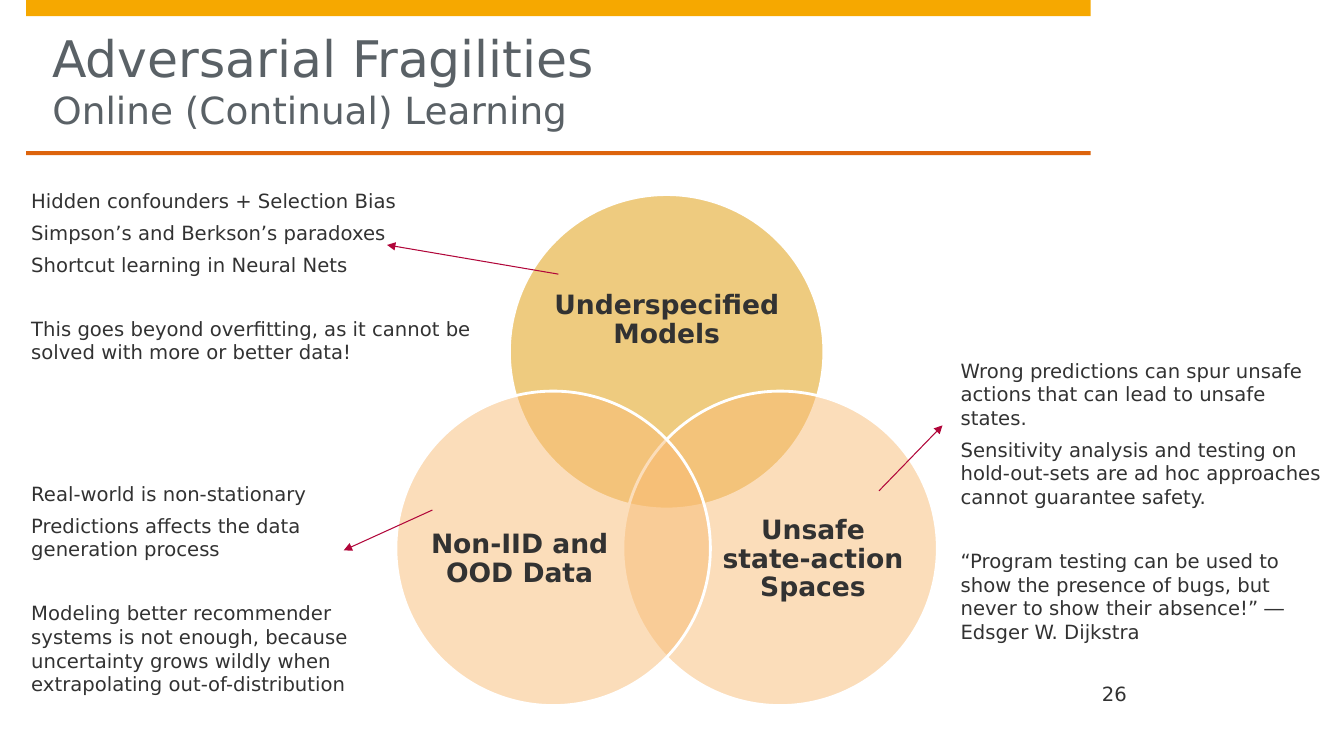
"""Build the slide on adversarial fragilities in online learning."""
import math

import lxml.etree
import pptx
import pptx.dml.color
import pptx.enum.shapes
import pptx.enum.text
import pptx.oxml.ns
import pptx.util

COLOURS = {
    "band": "F6A800", "rule": "DD640C", "title": "5A6166", "text": "323232",
    "gold": "DF9800", "peach": "F9BD76", "white": "FFFFFF", "arrow": "B1063A",
}
COLUMNS, ROWS = 40, 22.5
ALIGN = pptx.enum.text.PP_ALIGN
ANCHOR = pptx.enum.text.MSO_ANCHOR
SHAPE = pptx.enum.shapes.MSO_SHAPE


class Board:
    """Hold the style and the current slide, placed on a grid of columns and rows."""

    def __init__(self, deck, font="DejaVu Sans"):
        self.font = font
        self.column = deck.slide_width / COLUMNS
        self.row = deck.slide_height / ROWS
        self.slide = deck.slides.add_slide(deck.slide_layouts[5])

    def place(self, left, top, width, height):
        return (round(left * self.column), round(top * self.row),
                round(width * self.column), round(height * self.row))

    def colour(self, name):
        return pptx.dml.color.RGBColor.from_string(COLOURS[name])

    def child(self, parent, tag, **attributes):
        return lxml.etree.SubElement(parent, pptx.oxml.ns.qn(tag), **attributes)

    def frame(self, box, anchor, left=0, bottom=0):
        frame = box.text_frame
        frame.word_wrap = True
        frame.auto_size = pptx.enum.text.MSO_AUTO_SIZE.NONE
        frame.vertical_anchor = anchor
        frame.margin_left = pptx.util.Inches(left)
        frame.margin_bottom = pptx.util.Inches(bottom)
        frame.margin_top = frame.margin_right = 0
        return frame

    def span(self, para, text, size, colour="text", bold=False):
        span = para.add_run()
        span.text = text
        span.font.name = self.font
        span.font.size = pptx.util.Pt(size)
        span.font.bold = bold
        span.font.color.rgb = self.colour(colour)

    def title(self, area, heading, subheading):
        box = self.slide.shapes.title
        box.left, box.top, box.width, box.height = self.place(*area)
        para = self.frame(box, ANCHOR.BOTTOM, bottom=0.2).paragraphs[0]
        para.alignment = ALIGN.LEFT
        self.span(para, heading, 36, "title")
        para.add_line_break()
        self.span(para, subheading, 26.7, "title")

    def shape(self, kind, area, fill):
        shape = self.slide.shapes.add_shape(kind, *self.place(*area))
        shape.shadow.inherit = False
        shape.fill.solid()
        shape.fill.fore_color.rgb = self.colour(fill)
        shape.line.fill.background()
        return shape

    def circle(self, centre_x, centre_y, radius, fill):
        area = (centre_x - radius, centre_y - radius, 2 * radius, 2 * radius)
        circle = self.shape(SHAPE.OVAL, area, fill)
        circle.line.color.rgb = self.colour("white")
        circle.line.width = pptx.util.Pt(2)
        tint = circle.fill._xPr.find(".//" + pptx.oxml.ns.qn("a:srgbClr"))
        self.child(tint, "a:alpha", val="50000")

    def label(self, area, text):
        box = self.slide.shapes.add_textbox(*self.place(*area))
        para = self.frame(box, ANCHOR.MIDDLE).paragraphs[0]
        para.alignment = ALIGN.CENTER
        para.line_spacing = 0.9
        self.span(para, text, 19, bold=True)

    def note(self, area, points, remark):
        box = self.slide.shapes.add_textbox(*self.place(*area))
        frame = self.frame(box, ANCHOR.TOP)
        for index, text in enumerate([*points, remark]):
            para = frame.add_paragraph() if index else frame.paragraphs[0]
            para.space_before = pptx.util.Pt(26 if text == remark else 3)
            para.space_after = pptx.util.Pt(3)
            self.span(para, text, 14)

    def number(self, area, text):
        box = self.slide.shapes.add_textbox(*self.place(*area))
        para = self.frame(box, ANCHOR.BOTTOM, left=0.12).paragraphs[0]
        self.span(para, text, 14)

    def arrow(self, start_x, start_y, end_x, end_y):
        arrow = self.slide.shapes.add_connector(
            pptx.enum.shapes.MSO_CONNECTOR.STRAIGHT,
            *self.place(start_x, start_y, end_x, end_y))
        arrow.line.color.rgb = self.colour("arrow")
        arrow.line.width = pptx.util.Pt(0.75)
        self.child(arrow.line._get_or_add_ln(), "a:tailEnd", type="triangle")
        self.child(arrow._element.spPr, "a:effectLst")


def main():
    deck = pptx.Presentation()
    deck.slide_width = pptx.util.Inches(13.33)
    deck.slide_height = pptx.util.Inches(7.5)
    board = Board(deck)

    for top, height, fill in [(0, 0.48, "band"), (4.5, 0.12, "rule")]:
        board.shape(SHAPE.RECTANGLE, (0.78, top, 31.68, height), fill)
    board.title((1.56, 0.48, 30.09, 4.05),
                "Adversarial Fragilities", "Online (Continual) Learning")

    venn_x, venn_y, spread, radius = 19.84, 14.37, 3.9, 4.68
    sets = [
        ("Underspecified Models", "gold", (16.41, 7.44, 6.87, 4.2)),
        ("Unsafe state-action Spaces", "peach", (21.39, 14.07, 5.61, 5.16)),
        ("Non-IID and OOD Data", "peach", (12.66, 14.07, 5.61, 5.16)),
    ]
    for index, (text, fill, area) in enumerate(sets):
        angle = math.radians(120 * index - 90)
        board.circle(venn_x + spread * math.cos(angle),
                     venn_y + spread * math.sin(angle), radius, fill)
        board.label(area, text)

    board.number((32.43, 20.22, 6.78, 0.78), "26")

    notes = [
        ((0.93, 5.61, 13.2, 5.64),
         ["Hidden confounders + Selection Bias",
          "Simpson’s and Berkson’s paradoxes",
          "Shortcut learning in Neural Nets"],
         "This goes beyond overfitting, as it cannot be solved with more or "
         "better data!"),
        ((0.93, 14.34, 11.04, 6.69),
         ["Real-world is non-stationary",
          "Predictions affects the data generation process"],
         "Modeling better recommender systems is not enough, because "
         "uncertainty grows wildly when extrapolating out-of-distribution"),
        ((28.59, 10.68, 11.04, 6.21),
         ["Wrong predictions can spur unsafe actions that can lead to unsafe "
          "states.",
          "Sensitivity analysis and testing on hold-out-sets are ad hoc "
          "approaches cannot guarantee safety."],
         "“Program testing can be used to show the presence of bugs, but "
         "never to show their absence!” ― Edsger W. Dijkstra"),
    ]
    for area, points, remark in notes:
        board.note(area, points, remark)

    for ends in [(16.62, 8.16, 11.52, 7.29), (12.87, 15.18, 10.23, 16.38),
                 (26.16, 14.61, 28.05, 12.66)]:
        board.arrow(*ends)

    deck.save("out.pptx")


if __name__ == "__main__":
    main()
